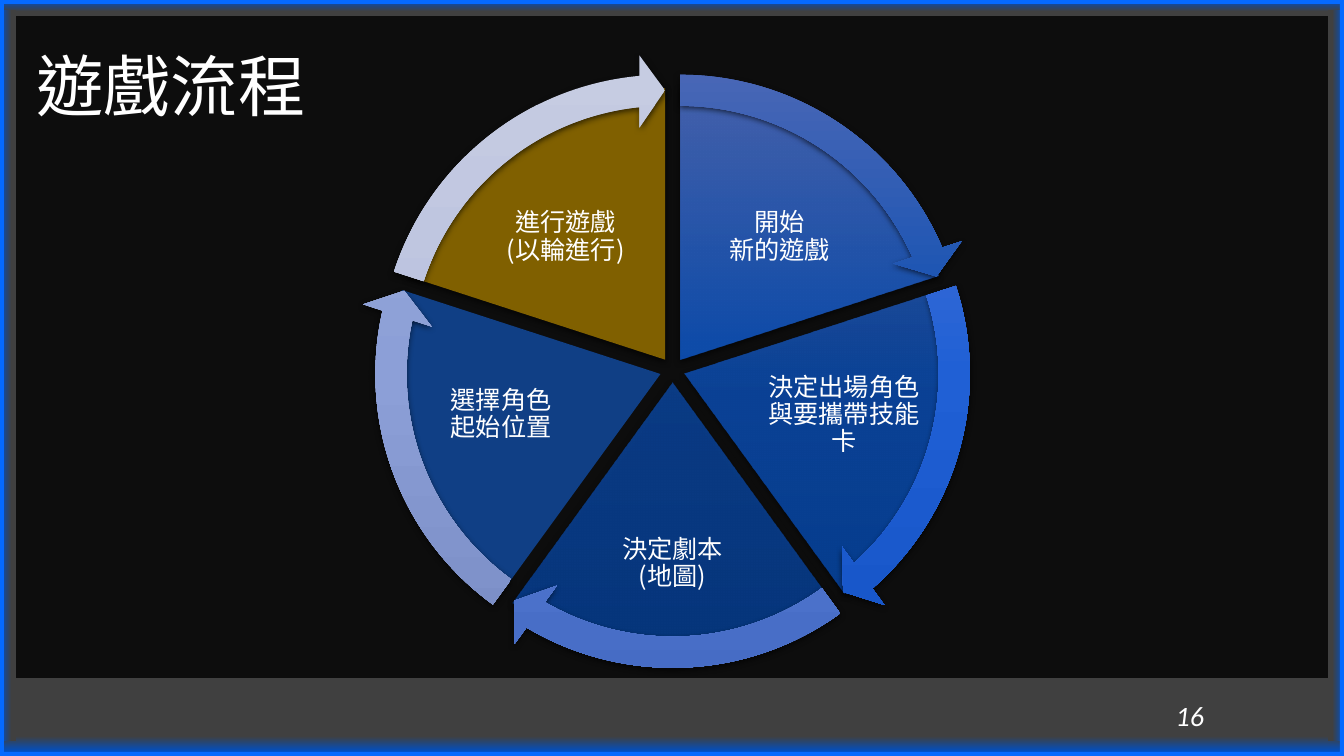
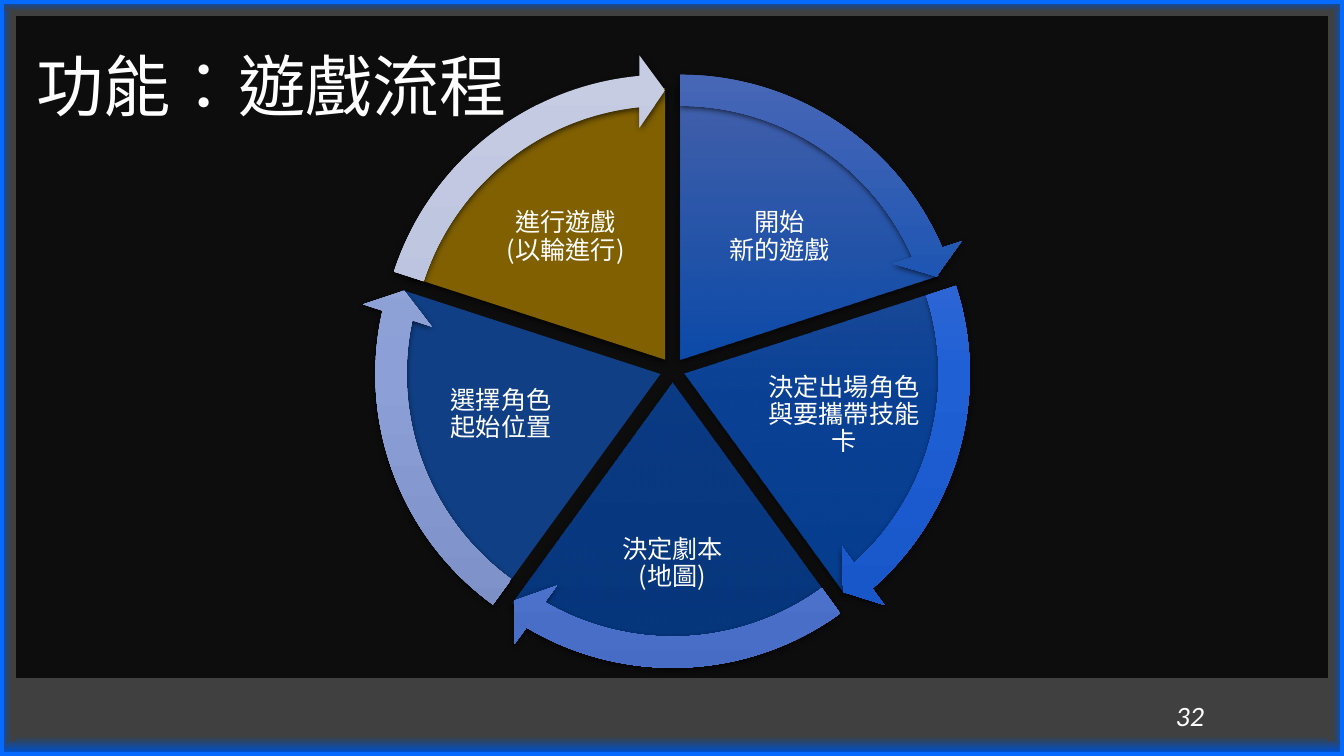
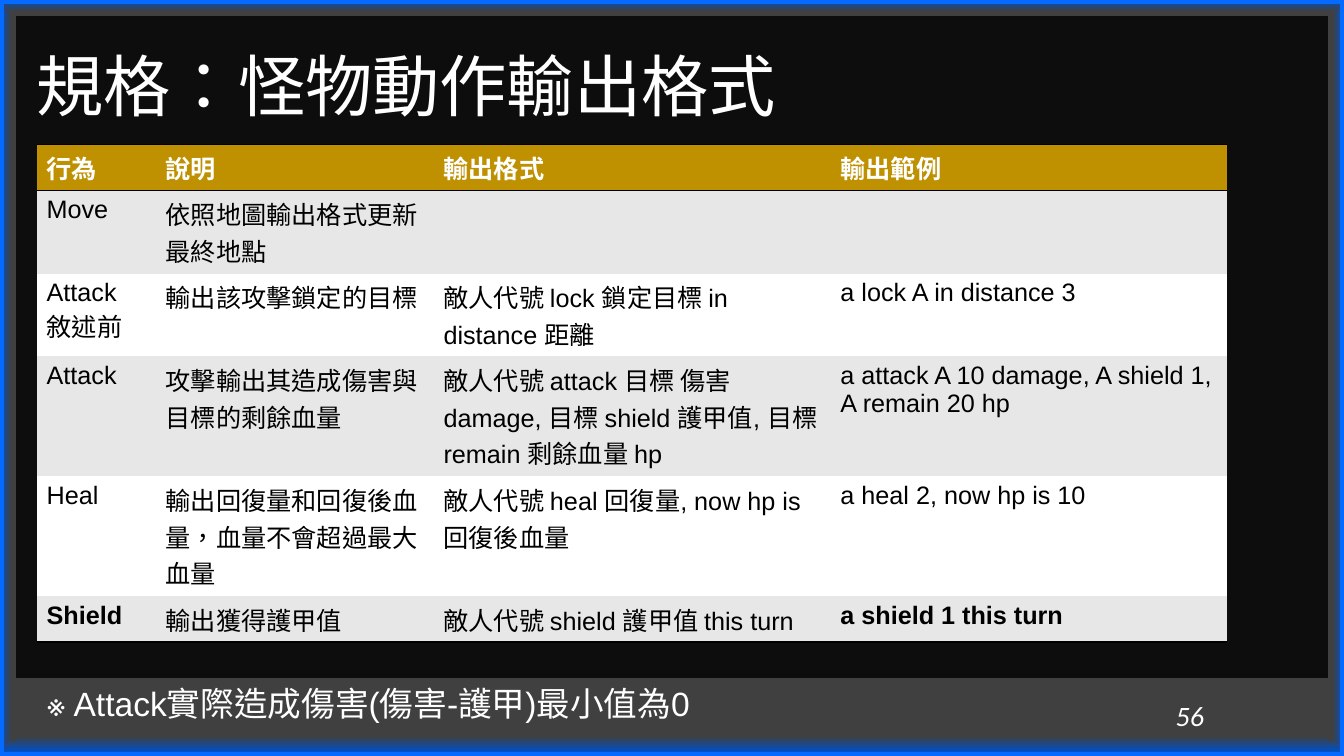
import math
import lxml.etree
import pptx
import pptx.util
import pptx.dml.color
import pptx.enum.shapes
import pptx.enum.text
import pptx.oxml
import pptx.oxml.ns

W, H = 13.33, 7.5
CJK = "Noto Sans CJK SC"
LATIN = "Arial"
WHITE, BLACK, BACKDROP = "FFFFFF", "000000", "0D0D0D"
BAND_BLUE, BAND_GREY, FRAME_BLUE = "004FC3", "404040", "056AFF"
GOLD, ROW_GREY = "BF9000", "E7E7E7"
NO_STYLE = "{2D5ABB26-0587-4C30-8999-92F81FD0307C}"
SHAPE = pptx.enum.shapes.MSO_SHAPE
ANCHOR = pptx.enum.text.MSO_ANCHOR
ALIGN = pptx.enum.text.PP_ALIGN
MARGIN, CONTENT = 2.72, 93
BAND_TOP = 89.7

HUB_X, HUB_Y = 50.05 * W / 100, 48.95 * H / 100
PUSH, PIE_SIZE, ARROW_SIZE = 0.127, 0.7187 * H, 0.808 * H
SLICE, FIRST, TIP = 72, 270, 5.46
PIE_STOPS = ((0, "4C6BBD"), (50, "0D52BA"), (100, "0548AC"))

STEPS = [
    ("開始\n新的遊戲", (51.5, 23.65, 12.98, 15.47), 90,
     ("4C68B6", "0D4FB2", "0445A4")),
    ("決定出場角色與要攜帶技能卡", (56.79, 46.4, 12, 17.07), 80,
     ("5175D6", "2060D5", "1553C5")),
    ("決定劇本\n(地圖)", (44.26, 65.2, 11.55, 18.8), 70,
     ("728ED6", "567DD6", "466CC5")),
    ("選擇角色\n起始位置", (31.28, 46.35, 12, 17.07), "103F85",
     ("9DACD9", "8C9FD7", "788BC3")),
    ("進行遊戲\n(以輪進行)", (35.6, 23.65, 12.98, 15.47), "806000",
     ("C6CCE2", "BBC2DF", "A4ABC8")),
]

ACTIONS = [
    ("行為", "說明", "輸出格式", "輸出範例"),
    ("Move", "依照地圖輸出格式更新最終地點", "", ""),
    ("Attack\n敘述前", "輸出該攻擊鎖定的目標",
     "敵人代號 lock 鎖定目標 in distance 距離", "a lock A in distance 3"),
    ("Attack", "攻擊輸出其造成傷害與目標的剩餘血量",
     "敵人代號 attack 目標 傷害 damage, 目標 shield 護甲值, 目標 remain 剩餘血量 hp",
     "a attack A 10 damage, A shield 1, A remain 20 hp"),
    ("Heal", "輸出回復量和回復後血量，血量不會超過最大血量",
     "敵人代號 heal 回復量, now hp is 回復後血量", "a heal 2, now hp is 10"),
    ("Shield", "輸出獲得護甲值", "敵人代號 shield 護甲值 this turn",
     "a shield 1 this turn"),
]
ACTION_LINES = (1, 2, 2, 3, 3, 1)
LINE_HEIGHT, CELL_PADDING = 4.88, 1.22


def color(value):
    return pptx.dml.color.RGBColor.from_string(value)


def inches(*values):
    return [pptx.util.Inches(v) for v in values]


def share(x, y, w, h):
    return inches(x * W / 100, y * H / 100, w * W / 100, h * H / 100)


def xml(text):
    return pptx.oxml.parse_xml(
        text.replace(" ", " " + pptx.oxml.ns.nsdecls("a") + " ", 1))


def fill_solid(obj, value):
    obj.fill.solid()
    obj.fill.fore_color.rgb = color(value)


def fill_gradient(sp, stops, angle, opacity=100):
    fill_solid(sp, stops[0][1])
    gs = "".join(
        f'<a:gs pos="{pos * 1000}"><a:srgbClr val="{value}">'
        f'<a:alpha val="{opacity * 1000}"/></a:srgbClr></a:gs>'
        for pos, value in stops)
    grad = xml(f'<a:gradFill rotWithShape="1"><a:gsLst>{gs}</a:gsLst>'
               f'<a:lin ang="{angle * 60000}" scaled="0"/></a:gradFill>')
    spPr = sp._element.spPr
    spPr.replace(spPr.find(pptx.oxml.ns.qn("a:solidFill")), grad)


def plain(sp):
    sp.line.fill.background()
    sp.shadow.inherit = False
    return sp


def drop_shadow(sp):
    effects = sp._element.spPr.find(pptx.oxml.ns.qn("a:effectLst"))
    effects.append(xml(
        '<a:outerShdw blurRad="57150" dist="19050" dir="5400000" algn="ctr" '
        'rotWithShape="0"><a:srgbClr val="000000"><a:alpha val="63000"/>'
        '</a:srgbClr></a:outerShdw>'))


def add_run(p, text, size, font, value, bold=False, italic=False):
    r = p.add_run()
    r.text = text
    f = r.font
    f.size, f.name, f.bold, f.italic = pptx.util.Pt(size), font, bold, italic
    f.color.rgb = color(value)
    rPr = r._r.get_or_add_rPr()
    rPr.set("lang", "zh-TW")
    ea = lxml.etree.SubElement(rPr, pptx.oxml.ns.qn("a:ea"))
    ea.set("typeface", CJK)


def write(tf, text, *style, **options):
    p = tf.paragraphs[0]
    for i, line in enumerate(text.split("\n")):
        if i:
            p.add_line_break()
        add_run(p, line, *style, **options)
    return p


def add_text(shapes, box, text, size, font=CJK, inset=None, anchor=ANCHOR.MIDDLE):
    tf = shapes.add_textbox(*share(*box)).text_frame
    tf.word_wrap = True
    tf.vertical_anchor = anchor
    if inset is not None:
        tf.margin_left = tf.margin_right = pptx.util.Inches(inset)
        tf.margin_top = tf.margin_bottom = pptx.util.Inches(inset)
    return write(tf, text, size, font, WHITE)


def add_band(s, box, grey_at, angle):
    sp = plain(s.shapes.add_shape(SHAPE.RECTANGLE, *share(*box)))
    fill_gradient(sp, ((0, BAND_BLUE), (grey_at, BAND_GREY)), angle)
    return sp


def add_frame(s):
    edge = 0.04
    right, bottom, e, r, b = inches(W, H, edge, W - edge, H - edge)
    fb = s.shapes.build_freeform(0, 0)
    fb.add_line_segments([(right, 0), (right, bottom), (0, bottom)])
    fb.move_to(e, e)
    fb.add_line_segments([(e, b), (r, b), (r, e)])
    fill_solid(plain(fb.convert_to_shape()), FRAME_BLUE)


def add_page(prs, title, number):
    s = prs.slides.add_slide(prs.slide_layouts[6])
    fill_solid(s.background, BACKDROP)
    tf = add_band(s, (0, BAND_TOP, 100, 9.73), 21, 270).text_frame
    tf.margin_left = pptx.util.Inches(11.66)
    tf.vertical_anchor = ANCHOR.MIDDLE
    p = write(tf, number, 20, "Calibri", WHITE, italic=True)
    p.alignment = ALIGN.LEFT
    add_band(s, (0, 0, 100, 2.13), 72, 90)
    for x, angle in ((0, 0), (98.8, 180)):
        add_band(s, (x, 1.33, 1.2, 96.67), 72, angle)
    add_frame(s)
    p = add_text(s.shapes, (MARGIN, 4.67, CONTENT, 14.4), title, 48, inset=0)
    p.line_spacing = 0.9
    return s


def add_sector(shapes, kind, i, size, adjustments):
    mid = math.radians(FIRST + SLICE * (i + 0.5))
    x = HUB_X + PUSH * math.cos(mid) - size / 2
    y = HUB_Y + PUSH * math.sin(mid) - size / 2
    sp = plain(shapes.add_shape(kind, *inches(x, y, size, size)))
    for n, value in enumerate(adjustments):
        sp.adjustments[n] = value
    return sp


def degrees(angle):
    return angle % 360 * 0.6


def add_cycle(s):
    shapes = s.shapes.add_group_shape().shapes
    for i, (label, box, look, _) in enumerate(STEPS):
        start = FIRST + SLICE * i
        sp = add_sector(shapes, SHAPE.PIE, i, PIE_SIZE,
                        (degrees(start), degrees(start + SLICE)))
        if isinstance(look, str):
            fill_solid(sp, look)
        else:
            fill_gradient(sp, PIE_STOPS, 90, look)
        if i != 3:
            drop_shadow(sp)
        p = add_text(shapes, box, label, 18, inset=0.03)
        p.alignment = ALIGN.CENTER
        p.line_spacing = 0.9
        p.space_after = pptx.util.Pt(6.3)
    for i, (_, _, _, shades) in enumerate(STEPS):
        start = FIRST + SLICE * i
        sp = add_sector(shapes, SHAPE.CIRCULAR_ARROW, i, ARROW_SIZE,
                        (0.051, degrees(TIP), degrees(start + SLICE - TIP),
                         degrees(start), 0.059))
        fill_gradient(sp, tuple(zip((0, 50, 100), shades)), 90)
        drop_shadow(sp)


def add_borders(cell, sides):
    tcPr = cell._tc.get_or_add_tcPr()
    for n, side in enumerate(sides):
        tcPr.insert(n, xml(
            f'<a:ln{side} w="19050"><a:solidFill><a:srgbClr val="{BLACK}"/>'
            f'</a:solidFill></a:ln{side}>'))


def add_grid(s, rows, x, y, w, heights, columns):
    box = share(x, y, w, sum(heights))
    table = s.shapes.add_table(len(rows), len(columns), *box).table
    table.first_row = table.horz_banding = False
    table._tbl.tblPr.find(pptx.oxml.ns.qn("a:tableStyleId")).text = NO_STYLE
    for col, part in zip(table.columns, columns):
        col.width = int(box[2] * part / sum(columns))
    for row, height in zip(table.rows, heights):
        row.height = pptx.util.Inches(height * H / 100)
    last = len(rows) - 1
    for i, row in enumerate(rows):
        for j, text in enumerate(row):
            cell = table.cell(i, j)
            fill_solid(cell, GOLD if i == 0 else ROW_GREY if i % 2 else WHITE)
            add_borders(cell, {0: "TB", last: "B"}.get(i, ""))
            if text:
                write(cell.text_frame, text, 18, LATIN,
                      BLACK if i else WHITE,
                      bold=i == 0 or (i == last and j in (0, 3)))


def main():
    prs = pptx.Presentation()
    prs.slide_width, prs.slide_height = inches(W, H)
    for title, number in (("遊戲流程", "16"), ("功能：遊戲流程", "32")):
        add_cycle(add_page(prs, title, number))
    s = add_page(prs, "規格：怪物動作輸出格式", "56")
    heights = [CELL_PADDING + LINE_HEIGHT * n for n in ACTION_LINES]
    add_grid(s, ACTIONS, MARGIN, 19.1, 88.6, heights, (3, 7, 10, 10))
    add_text(s.shapes, (MARGIN, BAND_TOP, CONTENT, 6.67),
             "※ Attack實際造成傷害(傷害-護甲)最小值為0", 24, LATIN,
             anchor=ANCHOR.TOP)
    prs.save("out.pptx")


if __name__ == "__main__":
    main()
